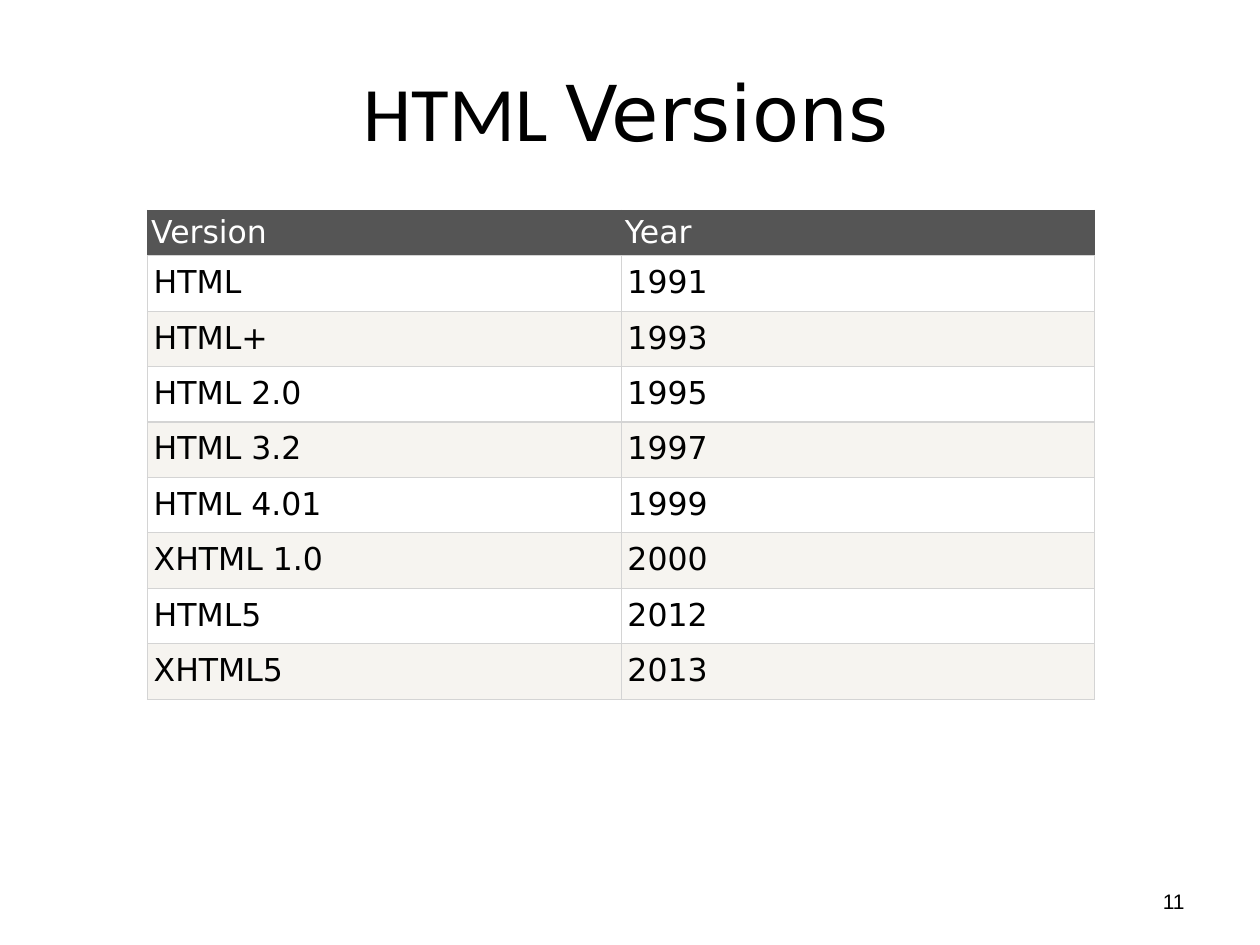
from lxml import etree
from pptx import Presentation
from pptx.dml.color import RGBColor
from pptx.enum import text
from pptx.oxml import ns
from pptx.util import Inches, Pt

BLACK, WHITE = "000000", "FFFFFF"
HEADER, BAND, RULE = "555555", "F6F4F0", "D4D4D4"
BODY_FONT = "DejaVu Sans"
VERSIONS = [
    ("Version", "Year"),
    ("HTML", "1991"),
    ("HTML+", "1993"),
    ("HTML 2.0", "1995"),
    ("HTML 3.2", "1997"),
    ("HTML 4.01", "1999"),
    ("XHTML 1.0", "2000"),
    ("HTML5", "2012"),
    ("XHTML5", "2013"),
]


def rgb(value):
    return RGBColor.from_string(value)


def add_run(p, words, size, font, color=BLACK):
    r = p.add_run()
    r.text = words
    r.font.size = Pt(size)
    r.font.name = font
    r.font.color.rgb = rgb(color)


def add_title(s, runs):
    sp = s.shapes.title
    sp.left, sp.top, sp.width, sp.height = map(Inches, (0.47, 0.25, 9, 1.25))
    tf = sp.text_frame
    tf.vertical_anchor = text.MSO_ANCHOR.MIDDLE
    p = tf.paragraphs[0]
    p.alignment = text.PP_ALIGN.CENTER
    for words, font in runs:
        add_run(p, words, 44, font)


def add_page_number(s, number):
    sp = s.shapes.add_textbox(*map(Inches, (7.17, 6.95, 2.33, 0.4)))
    tf = sp.text_frame
    tf.word_wrap = True
    tf.vertical_anchor = text.MSO_ANCHOR.MIDDLE
    p = tf.paragraphs[0]
    p.alignment = text.PP_ALIGN.RIGHT
    add_run(p, number, 12, "Arial")


def set_borders(cell, sides):
    tc_pr = cell._tc.get_or_add_tcPr()
    for side, color in sides.items():
        ln = etree.SubElement(tc_pr, ns.qn(f"a:ln{side}"), w=str(Pt(0.75)))
        fill = etree.SubElement(ln, ns.qn("a:solidFill"))
        etree.SubElement(fill, ns.qn("a:srgbClr"), val=color)


def fill_cell(cell, words, row):
    header = row == 0
    edge = HEADER if header else RULE
    top = HEADER if header else RULE
    set_borders(cell, {"L": edge, "R": edge, "T": top, "B": RULE})
    cell.fill.solid()
    cell.fill.fore_color.rgb = rgb(HEADER if header else WHITE if row % 2 else BAND)
    cell.margin_left = cell.margin_right = Inches(0.03 if header else 0.05)
    cell.margin_top = cell.margin_bottom = Inches(0.03 if header else 0.07)
    add_run(cell.text_frame.paragraphs[0], words, 18, BODY_FONT,
            WHITE if header else BLACK)


def add_version_table(s, rows):
    frame = s.shapes.add_table(len(rows), len(rows[0]),
                               *map(Inches, (1.17, 1.67, 7.52, 3.85)))
    table = frame.table
    for i, values in enumerate(rows):
        table.rows[i].height = Inches(0.43 if i else 0.35)
        for j, words in enumerate(values):
            fill_cell(table.cell(i, j), words, i)


def main():
    prs = Presentation()
    prs.slide_width, prs.slide_height = Inches(10), Inches(7.5)
    s = prs.slides.add_slide(prs.slide_layouts[5])
    s.background.fill.solid()
    s.background.fill.fore_color.rgb = rgb(WHITE)
    add_page_number(s, "11")
    add_title(s, [("HTML ", "Calibri"), ("Versions", BODY_FONT)])
    add_version_table(s, VERSIONS)
    prs.save("out.pptx")


main()
